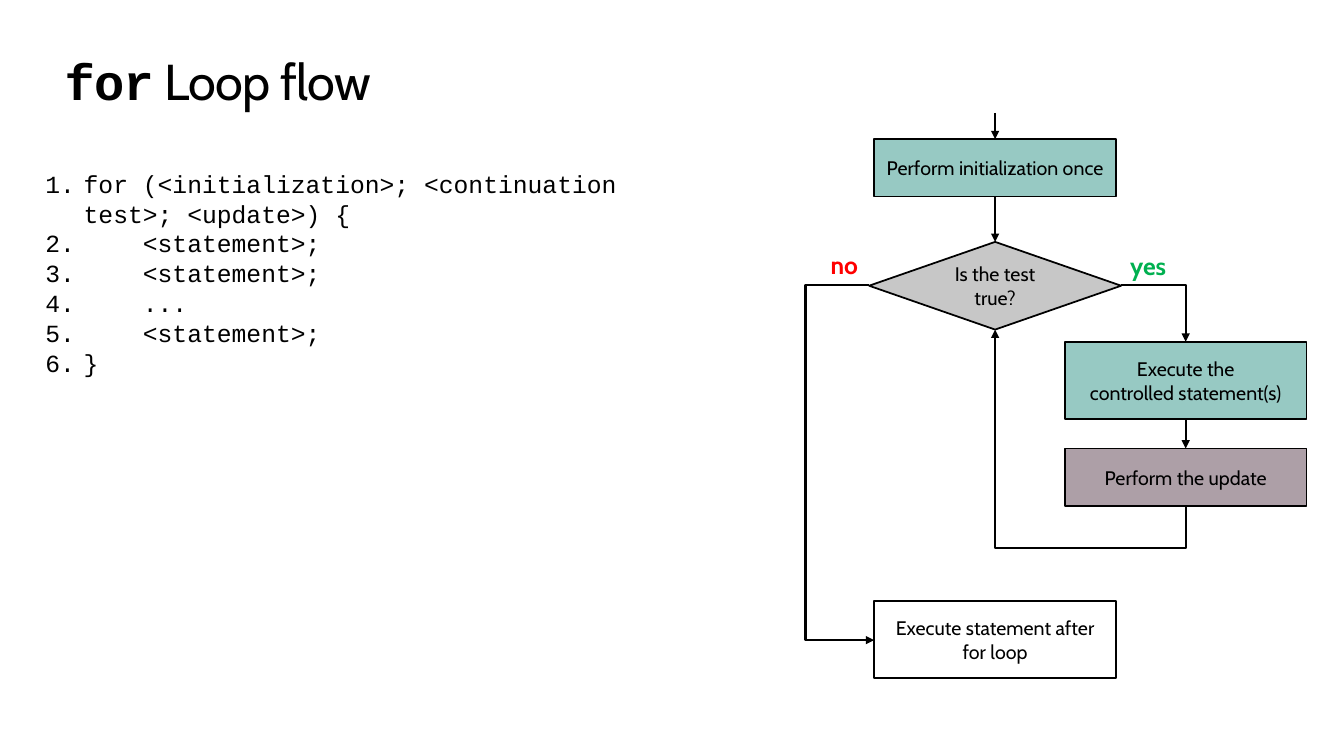
from lxml import etree
from pptx import Presentation
from pptx.dml.color import RGBColor
from pptx.enum.shapes import MSO_CONNECTOR, MSO_SHAPE
from pptx.enum.text import MSO_ANCHOR, MSO_AUTO_SIZE, PP_ALIGN
from pptx.oxml.ns import qn
from pptx.util import Inches, Pt

RECTANGLE, DIAMOND = MSO_SHAPE.RECTANGLE, MSO_SHAPE.DIAMOND
STRAIGHT, ELBOW = MSO_CONNECTOR.STRAIGHT, MSO_CONNECTOR.ELBOW
TOP, LEFT, BOTTOM, RIGHT = range(4)  # connection sites of a box
COLORS = {"black": "000000", "white": "FFFFFF", "teal": "97C9C3", "gray": "C7C7C7",
          "mauve": "AD9FA7", "green": "00B050", "red": "FF0000"}


def write(paragraph, text, size=14, font="Cabin", color="black", bold=False, spacing=None):
    for index, line in enumerate(text.split("\n")):
        if index:
            paragraph.add_line_break()
        run = paragraph.add_run()
        run.text = line
        run.font.size = Pt(size)
        run.font.name = font
        run.font.bold = bold
        run.font.color.rgb = RGBColor.from_string(COLORS[color])
        if spacing is not None:
            run.font._element.set("spc", str(spacing))


def clear_margins(frame):
    frame.margin_left = frame.margin_top = frame.margin_right = frame.margin_bottom = 0
    frame.word_wrap = True


presentation = Presentation()
presentation.slide_width, presentation.slide_height = Inches(13.33), Inches(7.5)
slide = presentation.slides.add_slide(presentation.slide_layouts[5])
shapes = slide.shapes

# Title
title = shapes.title
title.left, title.top, title.width, title.height = map(Inches, (0.64, 0.5, 12.05, 0.61))
clear_margins(title.text_frame)
title.text_frame.auto_size = MSO_AUTO_SIZE.SHAPE_TO_FIT_TEXT
title.text_frame.vertical_anchor = MSO_ANCHOR.TOP
paragraph = title.text_frame.paragraphs[0]
paragraph.alignment = PP_ALIGN.LEFT
write(paragraph, "for", size=36, font="Courier New", bold=True, spacing=-50)
write(paragraph, " Loop flow", size=36, spacing=-50)

# Flowchart boxes
boxes = {}
for name, kind, left, top, width, height, fill, text in [
    ("start", RECTANGLE, 8.67, 1.38, 2.4, 0.57, "teal", "Perform initialization once"),
    ("test", DIAMOND, 8.62, 2.4, 2.5, 0.87, "gray", "Is the test true?"),
    ("body", RECTANGLE, 10.56, 3.39, 2.4, 0.77, "teal", "Execute the\ncontrolled statement(s)"),
    ("update", RECTANGLE, 10.56, 4.45, 2.4, 0.57, "mauve", "Perform the update"),
    ("after", RECTANGLE, 8.67, 5.96, 2.4, 0.77, "white", "Execute statement after\nfor loop"),
]:
    box = shapes.add_shape(kind, Inches(left), Inches(top), Inches(width), Inches(height))
    box.shadow.inherit = False
    box.fill.solid()
    box.fill.fore_color.rgb = RGBColor.from_string(COLORS[fill])
    box.line.color.rgb = RGBColor.from_string(COLORS["black"])
    box.line.width = Pt(1.25)
    clear_margins(box.text_frame)
    box.text_frame.vertical_anchor = MSO_ANCHOR.MIDDLE
    paragraph = box.text_frame.paragraphs[0]
    paragraph.alignment = PP_ALIGN.CENTER
    write(paragraph, text)
    boxes[name] = box

# Arrows: joined boxes, then frame, turn and bend of the elbows
arrows = []
entry = shapes.add_connector(STRAIGHT, Inches(9.87), Inches(1.12), Inches(9.87), Inches(1.38))
entry.end_connect(boxes["start"], TOP)
arrows.append(entry)
for source, source_site, target, target_site, elbow in [
    ("start", BOTTOM, "test", TOP, None),
    ("body", BOTTOM, "update", TOP, None),
    ("test", RIGHT, "body", TOP, ("bentConnector2", (11.12, 2.83, 0.64, 0.56), {}, None)),
    ("update", BOTTOM, "test", BOTTOM,
     ("bentConnector3", (9.94, 3.2, 1.75, 1.89), {"rot": "5400000", "flipH": "1"}, -23700)),
    ("test", LEFT, "after", LEFT,
     ("bentConnector3", (8.62, 2.83, 0.05, 3.52),
      {"rot": "10800000", "flipH": "1", "flipV": "1"}, -1264300)),
]:
    arrow = shapes.add_connector(ELBOW if elbow else STRAIGHT, 0, 0, 0, 0)
    arrow.begin_connect(boxes[source], source_site)
    arrow.end_connect(boxes[target], target_site)
    if elbow:
        preset, frame, turn, bend = elbow
        arrow.left, arrow.top, arrow.width, arrow.height = map(Inches, frame)
        transform = arrow._element.spPr.find(qn("a:xfrm"))
        transform.attrib.pop("flipH", None)
        transform.attrib.pop("flipV", None)
        for key, value in turn.items():
            transform.set(key, value)
        geometry = arrow._element.spPr.find(qn("a:prstGeom"))
        geometry.set("prst", preset)
        if bend is not None:
            guides = geometry.find(qn("a:avLst"))
            etree.SubElement(guides, qn("a:gd"), name="adj1", fmla=f"val {bend}")
    arrows.append(arrow)

for arrow in arrows:
    arrow.line.color.rgb = RGBColor.from_string(COLORS["black"])
    arrow.line.width = Pt(1.5)
    etree.SubElement(arrow.line._get_or_add_ln(), qn("a:tailEnd"), type="triangle")
    etree.SubElement(arrow._element.spPr, qn("a:effectLst"))

# Branch labels
for text, color, left, top, width in [("yes", "green", 11.11, 2.44, 0.6),
                                      ("no", "red", 8.14, 2.43, 0.53)]:
    label = shapes.add_textbox(Inches(left), Inches(top), Inches(width), Inches(0.4))
    label.text_frame.word_wrap = False
    write(label.text_frame.paragraphs[0], text, size=17.6, color=color, bold=True)

# Numbered code
code = shapes.add_textbox(Inches(0.45), Inches(1.67), Inches(6.58), Inches(2.08))
clear_margins(code.text_frame)
for index, line in enumerate([
    "for (<initialization>; <continuation test>; <update>) {",
    "    <statement>;",
    "    <statement>;",
    "    ...",
    "    <statement>;",
    "}",
]):
    paragraph = code.text_frame.add_paragraph() if index else code.text_frame.paragraphs[0]
    paragraph.line_spacing = Pt(21.3)
    properties = paragraph._element.get_or_add_pPr()
    properties.set("marL", str(Inches(0.38)))
    properties.set("indent", str(-Inches(0.38)))
    etree.SubElement(properties, qn("a:buFont"), typeface="+mj-lt")
    etree.SubElement(properties, qn("a:buAutoNum"), type="arabicPeriod")
    properties.find(qn("a:buFont")).set("typeface", "Courier New")
    write(paragraph, line, size=17.6, font="Courier New")

presentation.save("out.pptx")
